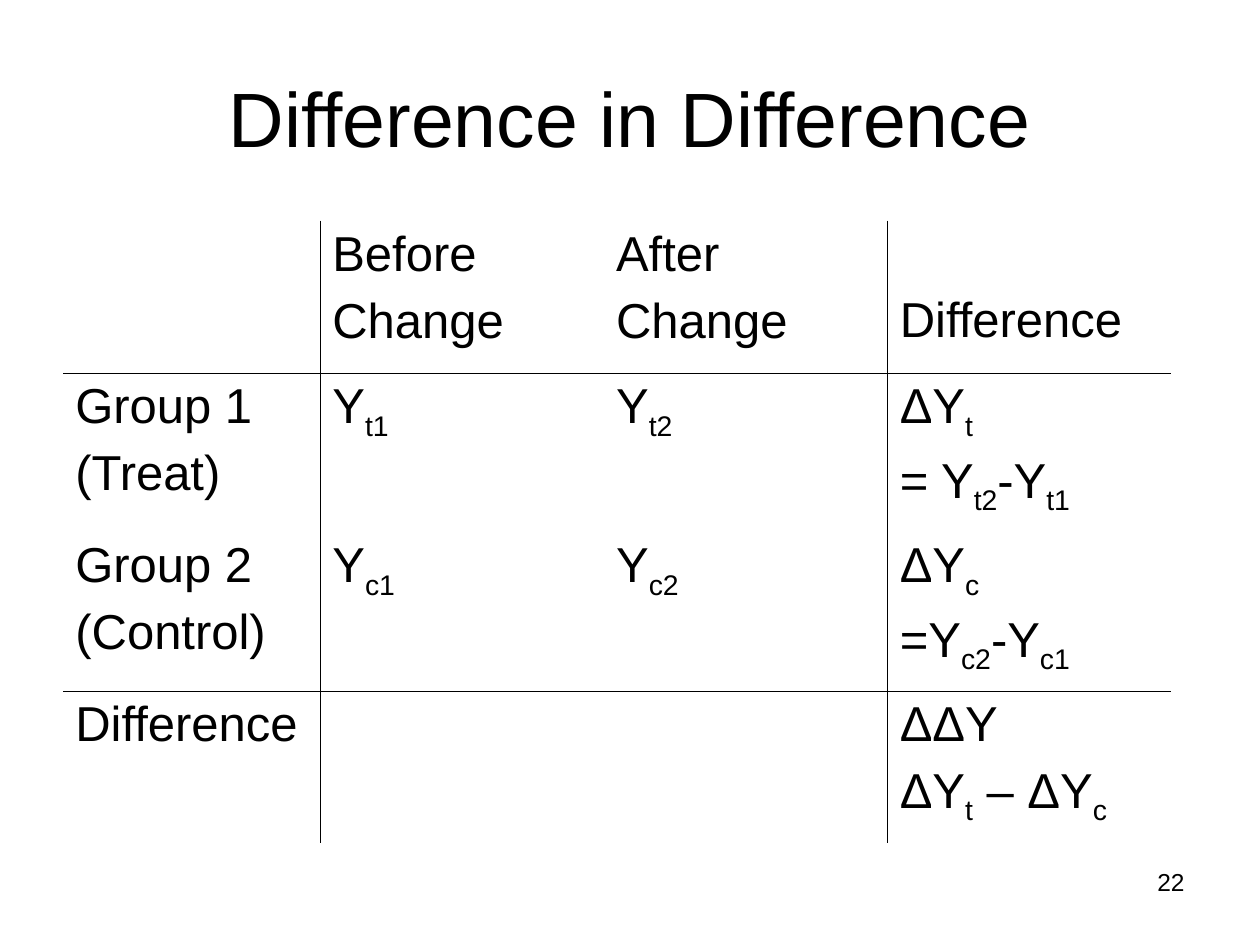
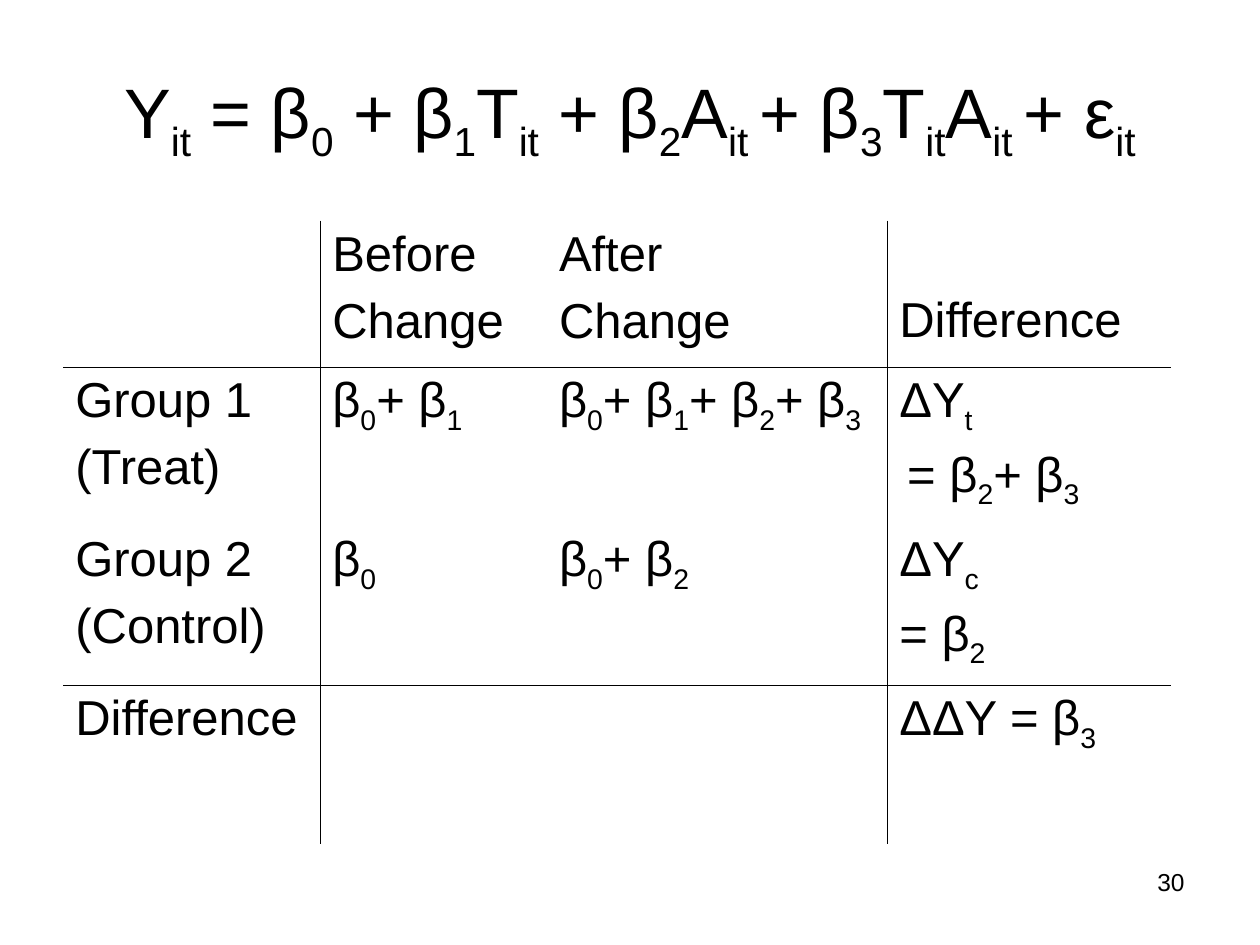
from lxml import etree
from pptx import Presentation
from pptx.dml.color import RGBColor
from pptx.enum.text import MSO_ANCHOR, PP_ALIGN
from pptx.oxml.ns import qn
from pptx.util import Cm, Pt

MIDDLE, TOP = MSO_ANCHOR.MIDDLE, MSO_ANCHOR.TOP
CENTER, LEFT, RIGHT = PP_ALIGN.CENTER, PP_ALIGN.LEFT, PP_ALIGN.RIGHT

COLORS = {"text": "000000", "rule": "000000", "page": "FFFFFF"}
FONT = "Arial"
BODY_SIZE = 28
RULE_WIDTH = Pt(0.45)
PARAGRAPH_GAP = Pt(7)
SECOND_LINE_MARGIN = Cm(1.47)  # top margin that moves a heading to line two
INSETS = {"margin_left": Cm(0.25), "margin_right": Cm(0.25),
          "margin_top": Cm(0.13), "margin_bottom": Cm(0.13)}

# The grid is ruled after these columns and rows
RULED_COLUMNS = {0, 2}
RULED_ROWS = {0, 2}

HEADINGS = ["", "Before\nChange", "After\nChange", "Difference"]
TREATED = "Group 1\n(Treat)"
CONTROL = "Group 2\n(Control)"

# Square brackets hold subscripts
SLIDES = [
    {"title": "Difference in Difference", "title_size": 44, "number": "22",
     "columns": [5.18, 5.72, 5.72, 5.72], "rows": [3.07, 3.2, 3.2, 3.07],
     "cells": [
         HEADINGS,
         [TREATED, "Y[t1]", "Y[t2]", "ΔY[t ]\n= Y[t2]-Y[t1]"],
         [CONTROL, "Y[c1]", "Y[c2]", "ΔY[c]\n=Y[c2]-Y[c1]"],
         ["Difference", "", "", "ΔΔY\nΔY[t] – ΔY[c]"]]},
    {"title": "Y[it] = β[0] + β[1]T[it] + β[2]A[it ]+ β[3]T[it]A[it ]+ ε[it]",
     "title_size": 40, "number": "30",
     "columns": [5.18, 4.57, 6.86, 5.72], "rows": [2.95, 3.2, 3.2, 3.2],
     "cells": [
         HEADINGS,
         [TREATED, "β[0]+ β[1]", "β[0]+ β[1]+ β[2]+ β[3]",
          "ΔY[t]\n[ ]= β[2]+ β[3]"],
         [CONTROL, "β[0]", "β[0]+ β[2]", "ΔY[c]\n= β[2]"],
         ["Difference", "", "", "ΔΔY = β[3]"]]},
]


def apply(target, values):
    for name, value in values.items():
        setattr(target, name, value)


def write_text(frame, text, size, align=LEFT, gap=Pt(0)):
    """Write one paragraph a line, lowering the bracketed parts."""
    for index, line in enumerate(text.split("\n")):
        para = frame.paragraphs[0] if index == 0 else frame.add_paragraph()
        apply(para, {"alignment": align, "space_before": gap})
        for part, words in enumerate(line.replace("]", "[").split("[")):
            if not words:
                continue
            span = para.add_run()
            span.text = words
            apply(span.font, {"name": FONT, "size": Pt(size)})
            span.font.color.rgb = RGBColor.from_string(COLORS["text"])
            if part % 2:
                span.font._element.set("baseline", "-25000")


def add_text(page, place, text, size, align, anchor):
    box = page.shapes.add_textbox(*(Cm(length) for length in place))
    apply(box.text_frame, {"word_wrap": True, "vertical_anchor": anchor, **INSETS})
    write_text(box.text_frame, text, size, align)


def set_borders(cell, ruled):
    """Rule the named sides of a cell and clear the others."""
    properties = cell._tc.get_or_add_tcPr()
    for index, side in enumerate("LRTB"):
        line = etree.Element(qn(f"a:ln{side}"), w=str(int(RULE_WIDTH)))
        if side in ruled:
            fill = etree.SubElement(line, qn("a:solidFill"))
            etree.SubElement(fill, qn("a:srgbClr"), val=COLORS["rule"])
        else:
            etree.SubElement(line, qn("a:noFill"))
        properties.insert(index, line)


def ruled_sides(row, column):
    sides = {"L": column - 1 in RULED_COLUMNS, "R": column in RULED_COLUMNS,
             "T": row - 1 in RULED_ROWS, "B": row in RULED_ROWS}
    return [side for side, ruled in sides.items() if ruled]


def add_grid(page, columns, rows, cells):
    table = page.shapes.add_table(
        len(rows), len(columns), Cm(1.27), Cm(4.45),
        Cm(sum(columns)), Cm(sum(rows))).table
    apply(table, {"first_row": False, "horz_banding": False})
    for column, width in zip(table.columns, columns):
        column.width = Cm(width)
    for row, height in zip(table.rows, rows):
        row.height = Cm(height)
    for row, texts in enumerate(cells):
        for column, text in enumerate(texts):
            cell = table.cell(row, column)
            cell.fill.background()
            apply(cell, INSETS)
            write_text(cell.text_frame, text, BODY_SIZE, gap=PARAGRAPH_GAP)
            set_borders(cell, ruled_sides(row, column))
    table.cell(0, len(columns) - 1).margin_top = SECOND_LINE_MARGIN


def add_page(deck, content):
    page = deck.slides.add_slide(deck.slide_layouts[6])
    page.background.fill.solid()
    page.background.fill.fore_color.rgb = RGBColor.from_string(COLORS["page"])
    # Title, table and page number
    add_text(page, (1.27, 0.76, 22.86, 3.18), content["title"],
             content["title_size"], CENTER, MIDDLE)
    add_grid(page, content["columns"], content["rows"], content["cells"])
    add_text(page, (18.21, 17.35, 5.92, 1.32), content["number"], 14, RIGHT, TOP)


def main():
    deck = Presentation()
    apply(deck, {"slide_width": Cm(25.4), "slide_height": Cm(19.05)})
    for content in SLIDES:
        add_page(deck, content)
    deck.save("out.pptx")


main()
